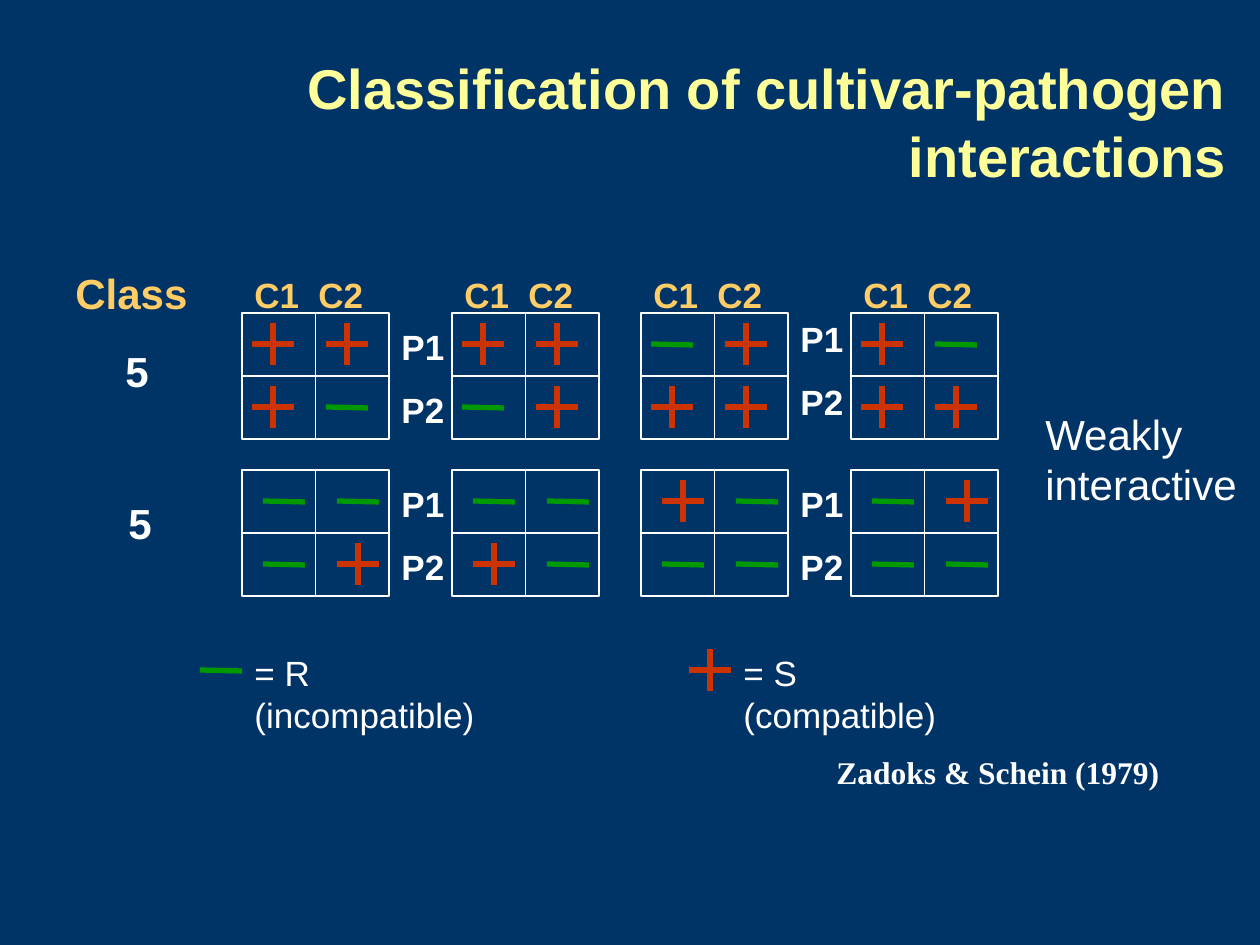
from lxml import etree
from pptx import Presentation
from pptx.dml.color import RGBColor
from pptx.enum.shapes import MSO_CONNECTOR, MSO_SHAPE
from pptx.enum.text import MSO_ANCHOR, MSO_AUTO_SIZE, PP_ALIGN
from pptx.oxml.ns import qn
from pptx.util import Emu, Pt

NAVY = RGBColor(0x00, 0x33, 0x66)
WHITE = RGBColor(0xFF, 0xFF, 0xFF)
YELLOW = RGBColor(0xFF, 0xFF, 0x99)
ORANGE = RGBColor(0xFF, 0xCC, 0x66)
GREEN = RGBColor(0x00, 0x99, 0x00)
RED = RGBColor(0xCC, 0x33, 0x00)
LEFT, RIGHT = PP_ALIGN.LEFT, PP_ALIGN.RIGHT
TOP, MIDDLE = MSO_ANCHOR.TOP, MSO_ANCHOR.MIDDLE
FIT, FIXED = MSO_AUTO_SIZE.SHAPE_TO_FIT_TEXT, MSO_AUTO_SIZE.NONE
STRAIGHT, RECTANGLE = MSO_CONNECTOR.STRAIGHT, MSO_SHAPE.RECTANGLE

PX_PER_INCH = 126
GRID_W, GRID_H = 147, 126
COLUMN_STEP, ROW_STEP = 74, 63
MARK = 42
PAIR_LEFTS, PARTNER_STEP = (242, 641), 210


def px(length):
    """Turn slide pixels into EMU."""
    return Emu(round(length * 914400 / PX_PER_INCH))


def add_text(page, text, left, top, width, height, size=20, color=WHITE,
             bold=True, font="Arial", align=LEFT, anchor=TOP, wrap=False,
             fit=FIT, tab=None):
    """Add a text box with one paragraph for each line of text."""
    box = page.shapes.add_textbox(px(left), px(top), px(width), px(height))
    frame = box.text_frame
    frame.word_wrap = wrap
    frame.auto_size = fit
    frame.vertical_anchor = anchor
    for index, line in enumerate(text.split("\n")):
        para = frame.add_paragraph() if index else frame.paragraphs[0]
        para.alignment = align
        if tab:
            stops = etree.SubElement(para._p.get_or_add_pPr(), qn("a:tabLst"))
            etree.SubElement(stops, qn("a:tab"), pos=str(px(tab)), algn="l")
        span = para.add_run()
        span.text = line
        span.font.name = font
        span.font.size = Pt(size)
        span.font.bold = bold
        span.font.color.rgb = color


def add_line(page, x1, y1, x2, y2, color, weight):
    """Add a straight line without a shadow."""
    line = page.shapes.add_connector(STRAIGHT, px(x1), px(y1), px(x2), px(y2))
    line.line.color.rgb = color
    line.line.width = Pt(weight)
    etree.SubElement(line._element.spPr, qn("a:effectLst"))
    return line


def add_mark(page, sign, left, middle):
    """Draw a red plus or a green minus from its left end."""
    if sign == "+":
        center, half = left + MARK // 2, MARK // 2
        add_line(page, center, middle - half, center, middle + half, RED, 3)
        add_line(page, left, middle, left + MARK, middle, RED, 3)
    else:
        add_line(page, left, middle, left + MARK, middle + 1, GREEN, 3)


def add_grid(page, left, top, signs, inset):
    """Draw a two by two grid and the mark in each of its cells."""
    frame = page.shapes.add_shape(RECTANGLE, px(left), px(top), px(GRID_W), px(GRID_H))
    frame.shadow.inherit = False
    frame.fill.background()
    frame.line.color.rgb = WHITE
    frame.line.width = Pt(0.75)
    for start, end in ((0, 2), (1, 3)):
        divider = add_line(page, left, top, left + GRID_W, top + GRID_H, WHITE, 0.75)
        divider.begin_connect(frame, start)
        divider.end_connect(frame, end)
    for row, row_signs in enumerate(signs):
        for column, sign in enumerate(row_signs):
            add_mark(page, sign, left + inset + column * COLUMN_STEP,
                     top + 31 + row * ROW_STEP)


def add_pair(page, left, top, grids, inset, label_drop):
    """Place two grids with the pathogen labels between them."""
    for index, signs in enumerate(grids):
        add_grid(page, left + index * PARTNER_STEP, top, signs, inset)
    for row, name in enumerate(("P1", "P2")):
        add_text(page, name, left + GRID_W, top + label_drop + row * ROW_STEP, 68, 55)


def add_headings(page, top):
    """Place the class heading and the cultivar headings above the grids."""
    add_text(page, "Class", 63, top - 6, 137, 63, size=24, color=ORANGE)
    for pair_left in PAIR_LEFTS:
        for left in (pair_left, pair_left + PARTNER_STEP):
            add_text(page, "C1\tC2", left, top, GRID_W, 55, color=ORANGE,
                     wrap=True, tab=64)


def add_class_row(page, top, class_left, class_drop, pairs, inset, label_drops):
    """Place one class number and its two pairs of grids."""
    add_text(page, "5", class_left, top + class_drop, 48, 63, size=24)
    for left, grids, label_drop in zip(PAIR_LEFTS, pairs, label_drops):
        add_pair(page, left, top, grids, inset, label_drop)


def add_legend(page, left, top):
    """Explain the minus and plus marks."""
    entries = (("-", "= R (incompatible)", 0, 310), ("+", "= S (compatible)", 489, 281))
    for sign, meaning, offset, width in entries:
        add_mark(page, sign, left + offset, top + 25)
        add_text(page, meaning, left + offset + MARK, top, width, 55, bold=False)


def main():
    """Build the slide and save it."""
    deck = Presentation()
    deck.slide_width, deck.slide_height = px(1260), px(945)
    page = deck.slides.add_slide(deck.slide_layouts[6])
    page.background.fill.solid()
    page.background.fill.fore_color.rgb = NAVY
    add_text(page, "Classification of cultivar-pathogen interactions", 168, 42, 1071, 158,
             size=32, color=YELLOW, align=RIGHT, anchor=MIDDLE, wrap=True, fit=FIXED)
    add_headings(page, 267)
    add_class_row(page, 313, 113, 26,
                  ((("++", "+-"), ("++", "-+")), (("-+", "++"), ("+-", "++"))),
                  10, (6, -2))
    add_class_row(page, 470, 116, 21,
                  ((("--", "-+"), ("--", "+-")), (("+-", "--"), ("-+", "--"))),
                  21, (6, 6))
    add_text(page, "Weakly\ninteractive", 1033, 402, 217, 113, size=24, bold=False)
    add_legend(page, 200, 645)
    add_text(page, "Zadoks & Schein (1979)", 824, 747, 348, 50, size=18,
             font="Times New Roman")
    deck.save("out.pptx")


if __name__ == "__main__":
    main()
